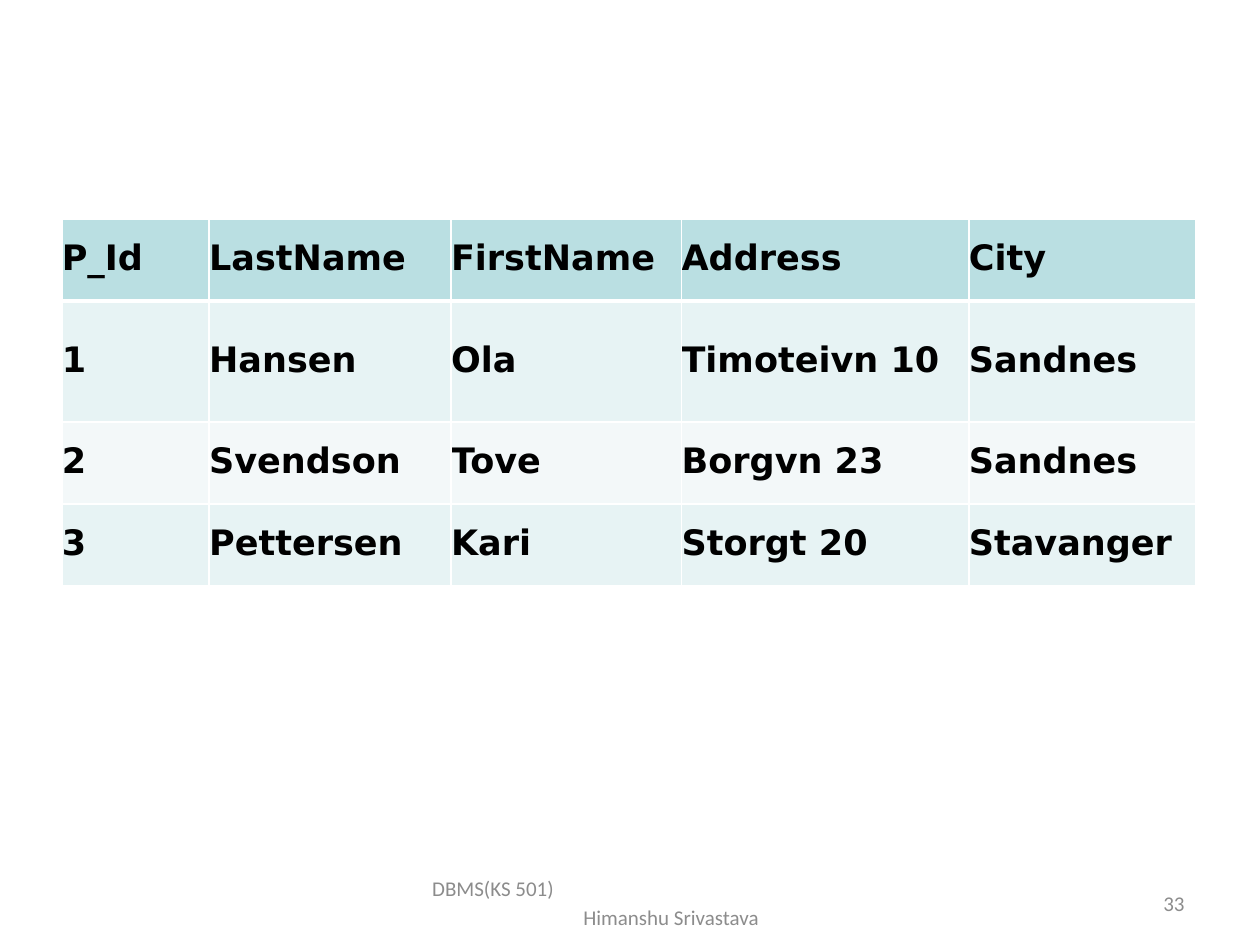
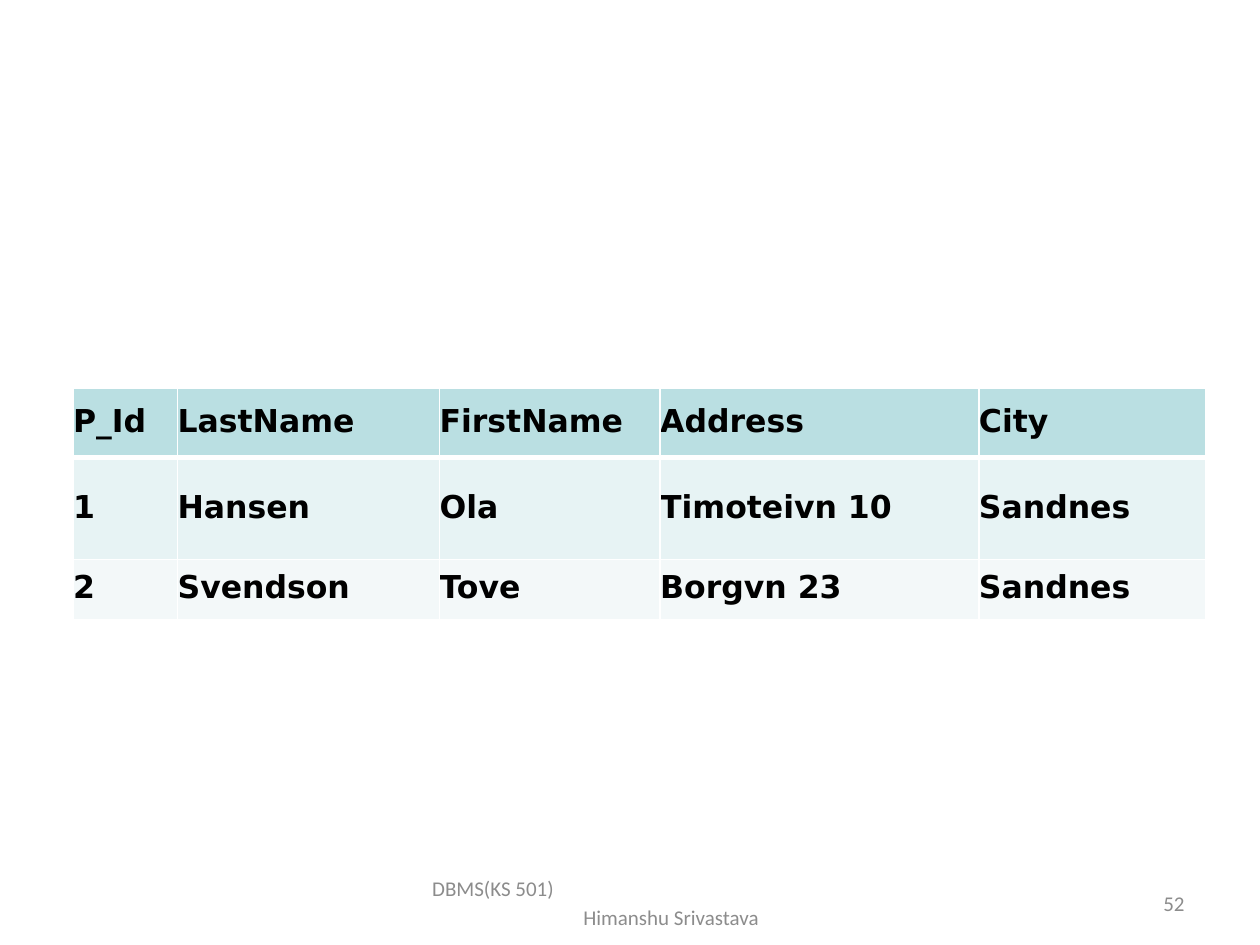
from lxml.etree import SubElement
from pptx import Presentation
from pptx.dml.color import RGBColor
from pptx.enum.text import MSO_ANCHOR, PP_ALIGN
from pptx.oxml.ns import qn
from pptx.util import Inches, Pt

# Shared look
HEADER, BAND_DARK, BAND_LIGHT = "BADFE2", "E7F3F4", "F3F8F9"
WHITE, BLACK, GREY = "FFFFFF", "000000", "8C8C8C"
TABLE_FONT, FOOTER_FONT = "DejaVu Sans", "Calibri"
FOOTER_TOP, FOOTER_HEIGHT = 6.95, 0.4

# Table content
COLUMNS = ["P_Id", "LastName", "FirstName", "Address", "City"]
PERSONS = [
    ["1", "Hansen", "Ola", "Timoteivn 10", "Sandnes"],
    ["2", "Svendson", "Tove", "Borgvn 23", "Sandnes"],
    ["3", "Pettersen", "Kari", "Storgt 20", "Stavanger"],
]


def rgb(color):
    return RGBColor.from_string(color)


def style_font(p, name, size, color, bold=False):
    p.font.name, p.font.size, p.font.bold = name, Pt(size), bold
    p.font.color.rgb = rgb(color)


def set_borders(cell, row):
    """White lines, with a thick one between header and body."""
    widths = {"L": 1, "R": 1, "T": 3 if row == 1 else 1, "B": 3 if row == 0 else 1}
    tc_pr = cell._tc.get_or_add_tcPr()
    for side, width in widths.items():
        line = SubElement(tc_pr, qn(f"a:ln{side}"), w=str(Pt(width)))
        fill = SubElement(line, qn("a:solidFill"))
        SubElement(fill, qn("a:srgbClr"), val=WHITE)


def style_cell(cell, text, row, size, top_inset):
    set_borders(cell, row)
    cell.fill.solid()
    body_fill = BAND_DARK if row % 2 else BAND_LIGHT
    cell.fill.fore_color.rgb = rgb(body_fill if row else HEADER)
    cell.margin_left = cell.margin_right = cell.margin_bottom = 0
    cell.margin_top = Inches(top_inset)
    cell.text = text
    style_font(cell.text_frame.paragraphs[0], TABLE_FONT, size, BLACK, bold=True)


def add_persons_table(s, left, top, col_widths, row_heights, top_insets, size):
    rows = [COLUMNS] + PERSONS[:len(row_heights) - 1]
    frame = s.shapes.add_table(len(rows), len(COLUMNS), Inches(left), Inches(top),
                               Inches(sum(col_widths)), Inches(sum(row_heights)))
    table = frame.table
    table.first_row = table.horz_banding = False
    for column, width in zip(table.columns, col_widths):
        column.width = Inches(width)
    for r, values in enumerate(rows):
        table.rows[r].height = Inches(row_heights[r])
        for c, text in enumerate(values):
            style_cell(table.cell(r, c), text, r, size, top_insets[r])


def add_footer_box(s, left, width, lines, align, inset):
    sp = s.shapes.add_textbox(Inches(left), Inches(FOOTER_TOP),
                              Inches(width), Inches(FOOTER_HEIGHT))
    tf = sp.text_frame
    tf.word_wrap = True
    tf.vertical_anchor = MSO_ANCHOR.MIDDLE
    tf.margin_left = tf.margin_right = Inches(inset)
    tf.margin_top = tf.margin_bottom = 0
    tf.text = "\n".join(text for text, _ in lines)
    for p, (_, indent) in zip(tf.paragraphs, lines):
        p._p.get_or_add_pPr().set("marL", str(Inches(indent)))
        p.alignment = align
        p.line_spacing = Pt(16.5)
        style_font(p, FOOTER_FONT, 12, GREY)


def add_footer(s, number):
    course = [("DBMS(KS 501)", 0.01), ("Himanshu Srivastava", 1.21)]
    add_footer_box(s, 3.42, 3.17, course, PP_ALIGN.LEFT, 0)
    add_footer_box(s, 7.17, 2.33, [(str(number), 0.15)], PP_ALIGN.RIGHT, 0.1)


def main():
    prs = Presentation()
    prs.slide_width, prs.slide_height = Inches(10), Inches(7.5)
    blank = prs.slide_layouts[6]

    # All three persons
    s = prs.slides.add_slide(blank)
    add_persons_table(s, 0.49, 1.74, [1.17, 1.92, 1.83, 2.28, 1.8],
                      [0.65, 0.96, 0.65, 0.65], [0.15, 0.31, 0.15, 0.15], 20)
    add_footer(s, 33)

    # The persons living in Sandnes
    s = prs.slides.add_slide(blank)
    add_persons_table(s, 0.58, 3.08, [0.83, 2.08, 1.75, 2.53, 1.8],
                      [0.55, 0.81, 0.48], [0.12, 0.25, 0.08], 18)
    add_footer(s, 52)

    prs.save("out.pptx")


if __name__ == "__main__":
    main()
